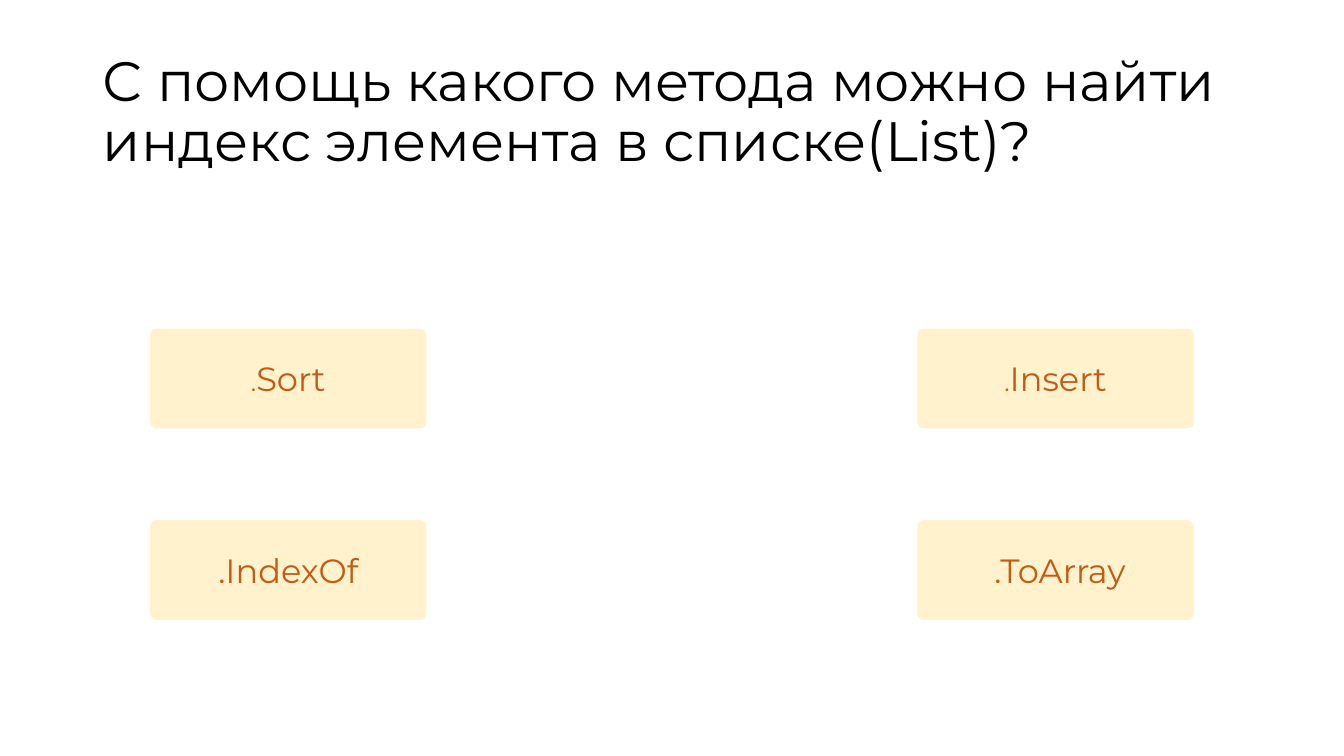
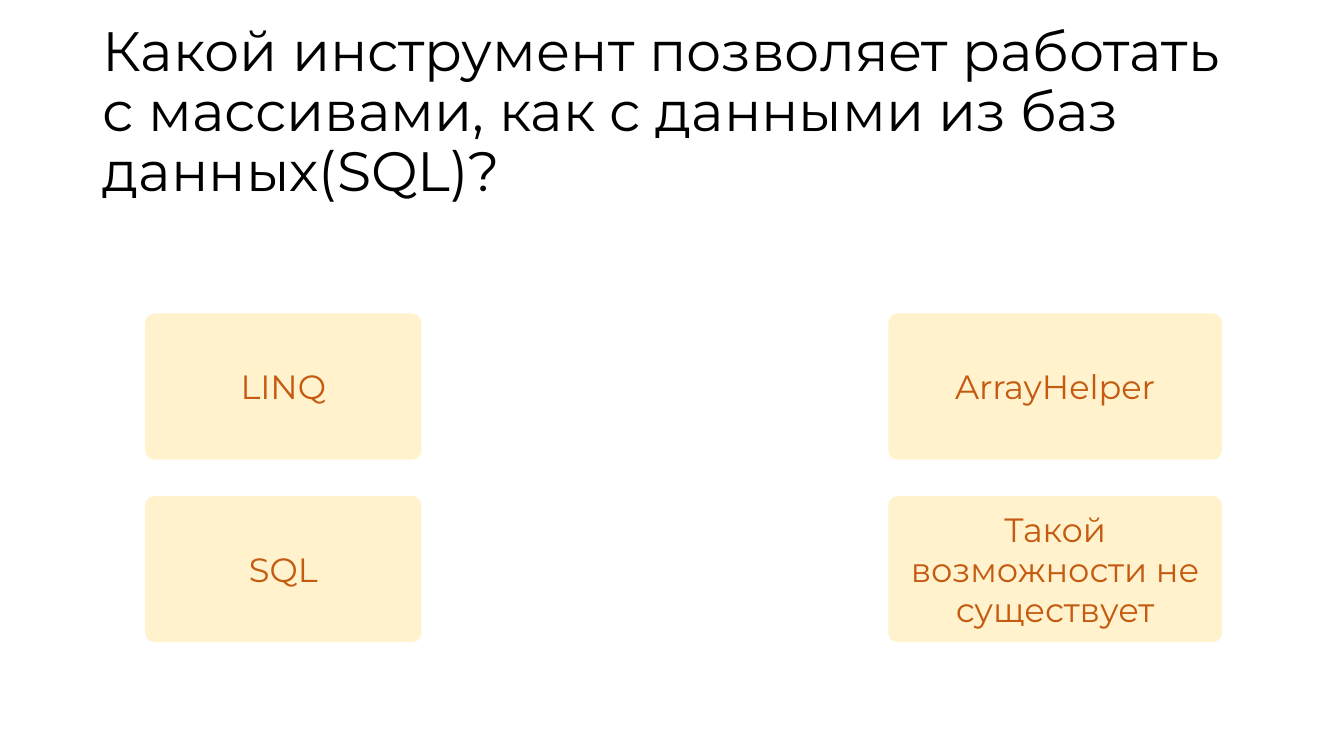
"""Build two quiz slides, each with a question and four answer cards."""
from pptx import Presentation
from pptx.dml.color import RGBColor
from pptx.enum.shapes import MSO_SHAPE
from pptx.enum.text import MSO_ANCHOR, MSO_AUTO_SIZE, PP_ALIGN
from pptx.util import Inches, Pt

ROUND = MSO_SHAPE.ROUNDED_RECTANGLE
MIDDLE = MSO_ANCHOR.MIDDLE
FIXED = MSO_AUTO_SIZE.NONE
LEFT, CENTER = PP_ALIGN.LEFT, PP_ALIGN.CENTER
FONT = "Montserrat"
COLORS = {"title": "000000", "card": "FFF2CC", "answer": "C55A11"}

QUIZ = [
    {
        "title": "С помощь какого метода можно найти индекс элемента в списке(List)?",
        "cols": [(1.49, 2.74), (9.1, 2.74)],
        "rows": [3.26, 5.16],
        "height": 0.99,
        "answers": [[[".", "Sort"], [".", "Insert"]],
                    [[".IndexOf"], [" .ToArray"]]],
    },
    {
        "title": "Какой инструмент позволяет работать с массивами, "
                 "как с данными из баз данных(SQL)?",
        "cols": [(1.44, 2.74), (8.81, 3.31)],
        "rows": [3.11, 4.92],
        "height": 1.45,
        "answers": [[["LINQ"], ["ArrayHelper"]],
                    [["SQL"], ["Такой возможности не существует"]]],
    },
]


def style(run, size, color):
    run.font.name = FONT
    run.font.size = Pt(size)
    run.font.color.rgb = RGBColor.from_string(COLORS[color])


def setup(frame, align):
    frame.word_wrap = True
    frame.auto_size = FIXED
    frame.vertical_anchor = MIDDLE
    frame.paragraphs[0].alignment = align
    return frame.paragraphs[0]


deck = Presentation()
deck.slide_width, deck.slide_height = Inches(13.33), Inches(7.5)

for quiz in QUIZ:
    slide = deck.slides.add_slide(deck.slide_layouts[5])
    title = slide.shapes.title
    title.left, title.top = Inches(0.92), Inches(0.4)
    title.width, title.height = Inches(11.5), Inches(1.45)
    title.text_frame.text = quiz["title"]
    para = setup(title.text_frame, LEFT)
    para.line_spacing = 0.9
    style(para.runs[0], 39.6, "title")

    for top, answers in zip(quiz["rows"], quiz["answers"]):
        for (left, width), parts in zip(quiz["cols"], answers):
            card = slide.shapes.add_shape(
                ROUND, Inches(left), Inches(top),
                Inches(width), Inches(quiz["height"]))
            card.adjustments[0] = 0.063
            card.shadow.inherit = False
            card.fill.solid()
            card.fill.fore_color.rgb = RGBColor.from_string(COLORS["card"])
            card.line.fill.background()
            para = setup(card.text_frame, CENTER)
            for part in parts:
                run = para.add_run()
                run.text = part
                style(run, 18 if part == "." else 24, "answer")

deck.save("out.pptx")
